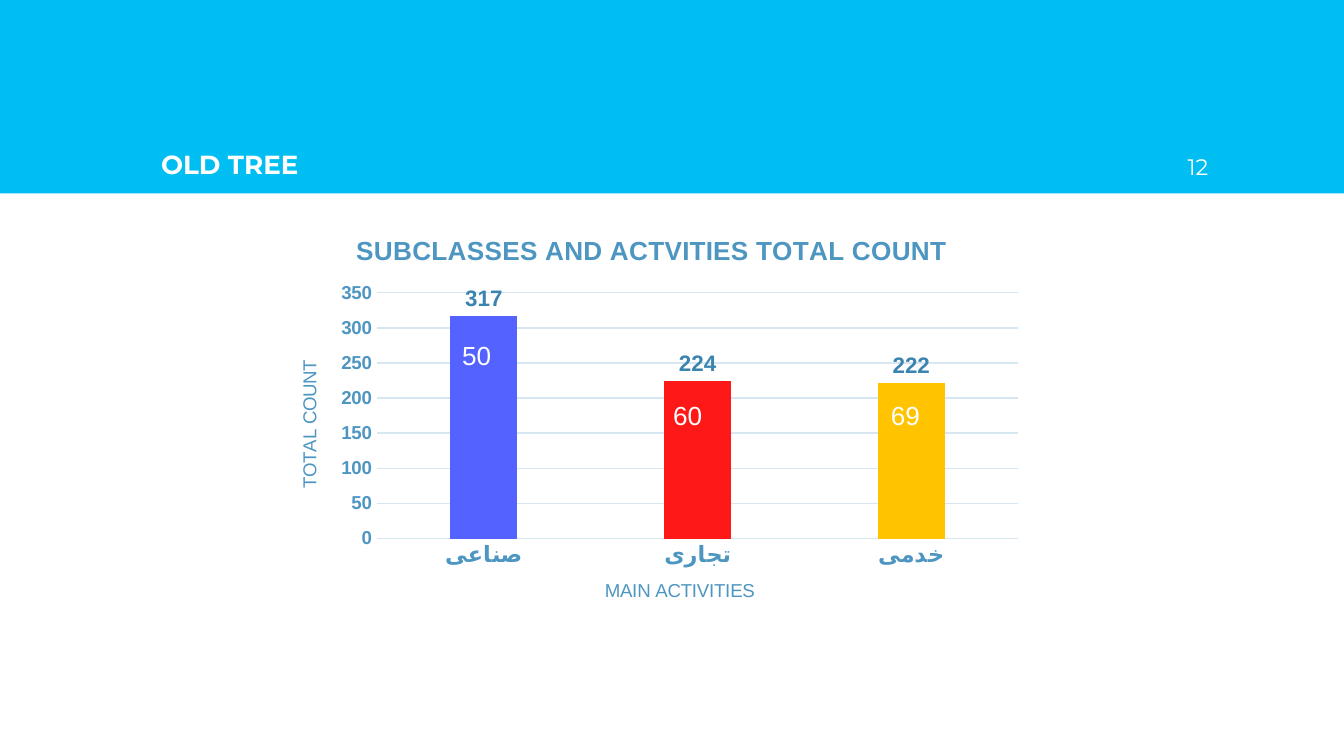
from lxml import etree
from pptx import Presentation
from pptx.chart.data import CategoryChartData
from pptx.dml.color import RGBColor
from pptx.enum.chart import XL_CHART_TYPE, XL_LABEL_POSITION, XL_TICK_MARK
from pptx.enum.shapes import MSO_SHAPE
from pptx.enum.text import MSO_ANCHOR, PP_ALIGN
from pptx.oxml.ns import qn
from pptx.util import Inches, Pt

# Content
COLORS = {
    "banner": "00BEF2", "white": "FFFFFF", "axis": "4E96C2",
    "label": "3C84B0", "grid": "D6E7F1", "chart": "25516C",
}
TITLE = "OLD TREE"
PAGE_NUMBER = "12"
CHART_TITLE = "SUBCLASSES AND ACTVITIES TOTAL COUNT"
CATEGORY_TITLE = "MAIN ACTIVITIES"
VALUE_TITLE = "TOTAL COUNT"
BARS = [  # category, total, bar colour
    ("صناعى", 317, "5463FF"),
    ("تجارى", 224, "FF1818"),
    ("خدمى", 222, "FFC300"),
]
SUBCLASSES = [  # text, left, top
    ("50", 3.34, 2.48),
    ("60", 4.91, 2.92),
    ("69", 6.53, 2.92),
]
SLIDE_WIDTH = Inches(10)
SLIDE_HEIGHT = SLIDE_WIDTH * 9 // 16
PLOT_LAYOUT = {"x": 0.14, "y": 0.19, "w": 0.84, "h": 0.59}


def color(name):
    return RGBColor.from_string(COLORS[name])


def style_font(font, size, color_name, bold=False, name="Arial"):
    font.size = Pt(size)
    font.bold = bold
    font.name = name
    font.color.rgb = color(color_name)


def add_text(slide, text, box, size, bold=False, name="Arial",
             align=PP_ALIGN.LEFT, anchor=MSO_ANCHOR.TOP, margin=0.05):
    shape = slide.shapes.add_textbox(*map(Inches, box))
    frame = shape.text_frame
    frame.word_wrap = True
    frame.vertical_anchor = anchor
    frame.margin_left = frame.margin_right = Inches(0.1)
    frame.margin_top = frame.margin_bottom = Inches(margin)
    frame.text = text
    paragraph = frame.paragraphs[0]
    paragraph.alignment = align
    style_font(paragraph.runs[0].font, size, "white", bold, name)


def set_title(owner, text, size, bold=False):
    """Title a chart or an axis."""
    title = owner.chart_title if hasattr(owner, "chart_title") else owner.axis_title
    title.text_frame.text = text
    run = title.text_frame.paragraphs[0].runs[0]
    style_font(run.font, size, "axis", bold)


def set_line(line, color_name):
    line.color.rgb = color(color_name)
    line.width = Pt(0.75)


def place_plot(chart):
    """Fix the inner plot area as fractions of the chart."""
    plot_area = chart.plots[0]._element.getparent()
    for old in plot_area.findall(qn("c:layout")):
        plot_area.remove(old)
    layout = etree.Element(qn("c:layout"))
    plot_area.insert(0, layout)
    manual = etree.SubElement(layout, qn("c:manualLayout"))
    settings = {"layoutTarget": "inner", "xMode": "edge", "yMode": "edge"}
    for tag, value in {**settings, **PLOT_LAYOUT}.items():
        etree.SubElement(manual, qn(f"c:{tag}")).set("val", str(value))


def add_bar_chart(slide):
    data = CategoryChartData()
    data.categories = [category for category, _, _ in BARS]
    data.add_series("Series 1", [total for _, total, _ in BARS])
    chart = slide.shapes.add_chart(
        XL_CHART_TYPE.COLUMN_CLUSTERED,
        Inches(2.01), Inches(1.59), Inches(5.68), Inches(3.1), data).chart
    style_font(chart.font, 10, "chart")
    chart.has_legend = False
    set_title(chart, CHART_TITLE, 14, bold=True)
    chart.chart_title.include_in_layout = False

    # Axes
    category_axis, value_axis = chart.category_axis, chart.value_axis
    for axis, title, size in ((category_axis, CATEGORY_TITLE, 12),
                              (value_axis, VALUE_TITLE, 10)):
        set_title(axis, title, 10)
        axis.major_tick_mark = axis.minor_tick_mark = XL_TICK_MARK.NONE
        style_font(axis.tick_labels.font, size, "axis", bold=True)
    set_line(category_axis.format.line, "grid")
    value_axis.format.line.fill.background()
    value_axis.has_major_gridlines = True
    set_line(value_axis.major_gridlines.format.line, "grid")
    value_axis.minimum_scale, value_axis.maximum_scale = 0, 350
    value_axis.major_unit = 50

    # Bars and their labels
    plot = chart.plots[0]
    plot.vary_by_categories = False
    plot.gap_width, plot.overlap = 219, -27
    series = plot.series[0]
    series.format.fill.solid()
    series.format.fill.fore_color.rgb = color("banner")
    for index, (_, _, bar_color) in enumerate(BARS):
        fill = series.points[index].format.fill
        fill.solid()
        fill.fore_color.rgb = RGBColor.from_string(bar_color)
    labels = series.data_labels
    labels.show_value = True
    labels.position = XL_LABEL_POSITION.OUTSIDE_END
    style_font(labels.font, 12, "label", bold=True)
    place_plot(chart)


def main():
    presentation = Presentation()
    presentation.slide_width = SLIDE_WIDTH
    presentation.slide_height = SLIDE_HEIGHT
    slide = presentation.slides.add_slide(presentation.slide_layouts[6])

    # Banner with title and page number
    banner = slide.shapes.add_shape(
        MSO_SHAPE.RECTANGLE, 0, 0, SLIDE_WIDTH, Inches(1.44))
    banner.shadow.inherit = False
    banner.fill.solid()
    banner.fill.fore_color.rgb = color("banner")
    banner.line.fill.background()
    heading = {"name": "Montserrat", "anchor": MSO_ANCHOR.BOTTOM, "margin": 0.1}
    add_text(slide, TITLE, (1.1, 0.71, 7.8, 0.73), 14, bold=True, **heading)
    add_text(slide, PAGE_NUMBER, (8.49, 0.71, 0.6, 0.73), 12,
             align=PP_ALIGN.RIGHT, **heading)

    # Chart with subclass counts over the bars
    add_bar_chart(slide)
    for text, left, top in SUBCLASSES:
        add_text(slide, text, (left, top, 0.44, 0.34), 14)

    presentation.save("out.pptx")


if __name__ == "__main__":
    main()
